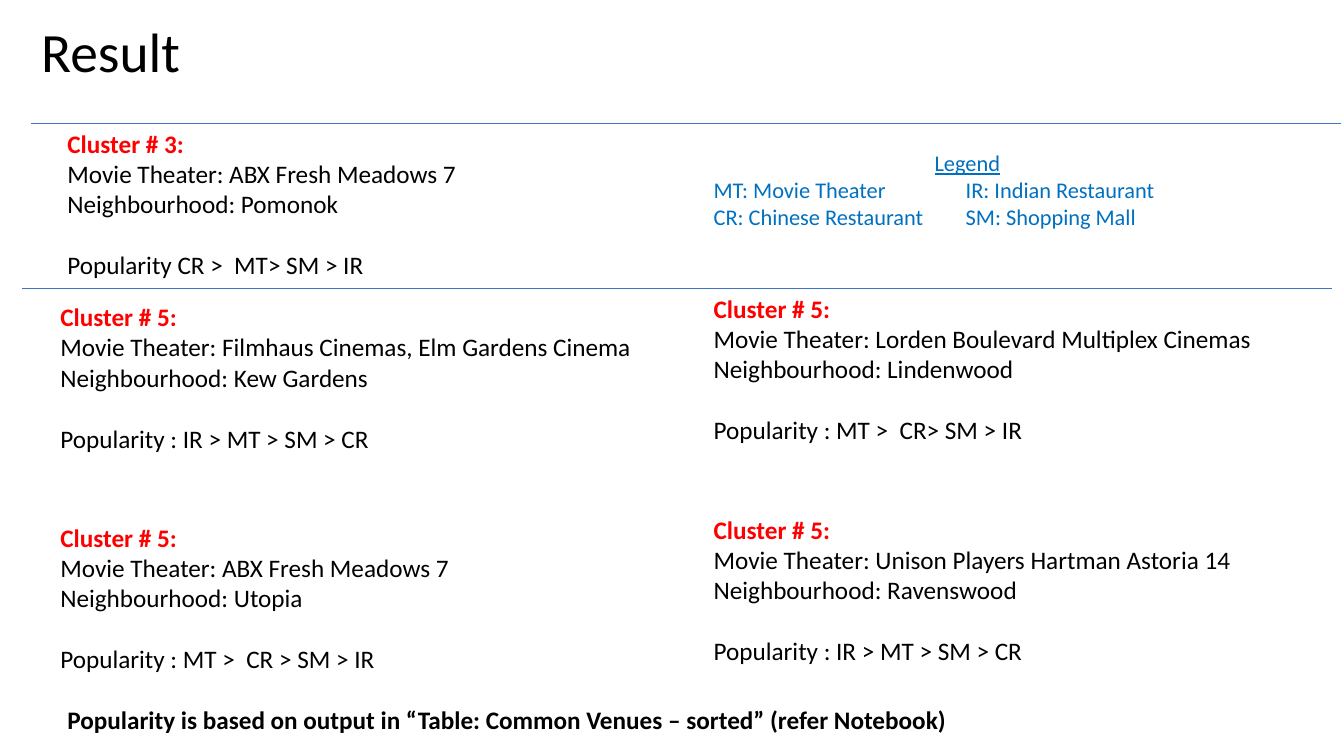
from lxml import etree
from pptx import Presentation
from pptx.dml.color import RGBColor
from pptx.enum.shapes import MSO_CONNECTOR
from pptx.enum.text import MSO_ANCHOR, PP_ALIGN
from pptx.oxml.ns import qn
from pptx.util import Inches, Pt

STRAIGHT = MSO_CONNECTOR.STRAIGHT
TOP, MIDDLE = MSO_ANCHOR.TOP, MSO_ANCHOR.MIDDLE
LEFT, CENTER = PP_ALIGN.LEFT, PP_ALIGN.CENTER
BLACK, RED, BLUE, RULE = "000000", "FF0000", "0070C0", "4472C4"
BODY_SIZE, LEGEND_SIZE, TITLE_SIZE = 18, 16, 39.6
EMPTY_LINE = 22
CARD_HEIGHT = 21.6
LEFT_COLUMN, RIGHT_COLUMN = 3.75, 52.36
LEFT_ROW, RIGHT_ROW, ROW_STEP = 39.2, 38.13, 29.2


def colour(hex_value):
    return RGBColor.from_string(hex_value)


class ResultPage:
    """Draws on one slide, with lengths in percent of its width and height."""

    font = "Calibri"

    def __init__(self, deck):
        self.width, self.height = deck.slide_width, deck.slide_height
        self.page = deck.slides.add_slide(deck.slide_layouts[6])

    def place(self, left, top, width, height):
        return (round(left * self.width / 100), round(top * self.height / 100),
                round(width * self.width / 100), round(height * self.height / 100))

    def frame(self, area, anchor=TOP):
        box = self.page.shapes.add_textbox(*self.place(*area))
        box.text_frame.word_wrap = True
        box.text_frame.vertical_anchor = anchor
        return box.text_frame

    def line(self, frame, text, size=BODY_SIZE, ink=BLACK, bold=False,
             underline=False, align=LEFT, before=0):
        first = frame.paragraphs[0]
        para = frame.add_paragraph() if first.runs else first
        para.add_run().text = text
        para.alignment = align
        para.space_before = Pt(before)
        font = para.font
        font.name, font.size, font.bold = self.font, Pt(size), bold
        font.underline = underline
        font.color.rgb = colour(ink)
        return para

    def title(self, text, area):
        self.line(self.frame(area, MIDDLE), text, TITLE_SIZE).line_spacing = 0.9

    def card(self, left, top, width, number, theater, neighbourhood, popularity):
        frame = self.frame((left, top, width, CARD_HEIGHT))
        self.line(frame, f"Cluster # {number}:", ink=RED, bold=True)
        self.line(frame, f"Movie Theater: {theater}")
        self.line(frame, f"Neighbourhood: {neighbourhood}")
        self.line(frame, f"Popularity {popularity}", before=EMPTY_LINE)

    def legend(self, heading, entries, area):
        frame = self.frame(area)
        self.line(frame, heading, LEGEND_SIZE, BLUE, underline=True, align=CENTER)
        for entry in entries:
            self.line(frame, entry, LEGEND_SIZE, BLUE)

    def note(self, text, area):
        self.line(self.frame(area), text, bold=True)

    def rule(self, left, top, width):
        x, y, length, _ = self.place(left, top, width, 0)
        rule = self.page.shapes.add_connector(STRAIGHT, x, y, x + length, y)
        rule.line.color.rgb = colour(RULE)
        rule.line.width = Pt(0.5)
        etree.SubElement(rule._element.spPr, qn("a:effectLst"))


def main():
    deck = Presentation()
    deck.slide_width, deck.slide_height = Inches(13.33), Inches(7.5)
    result = ResultPage(deck)

    result.title("Result", (2.33, 2.8, 86.27, 8.8))
    result.card(4.28, 16.27, 31.66, 3, "ABX Fresh Meadows 7", "Pomonok",
                "CR >  MT> SM > IR")

    columns = [
        (LEFT_COLUMN, LEFT_ROW, [
            ("Filmhaus Cinemas, Elm Gardens Cinema", "Kew Gardens",
             ": IR > MT > SM > CR"),
            ("ABX Fresh Meadows 7", "Utopia", ": MT >  CR > SM > IR")]),
        (RIGHT_COLUMN, RIGHT_ROW, [
            ("Lorden Boulevard Multiplex Cinemas", "Lindenwood",
             ": MT >  CR> SM > IR"),
            ("Unison Players Hartman Astoria 14", "Ravenswood",
             ": IR > MT > SM > CR")]),
    ]
    for left, top, cards in columns:
        for row, details in enumerate(cards):
            result.card(left, top + row * ROW_STEP, 45.24, 5, *details)

    result.legend("Legend", ["MT: Movie Theater \t\tIR: Indian Restaurant",
                             "CR: Chinese Restaurant\tSM: Shopping Mall"],
                  (RIGHT_COLUMN, 19.07, 39.23, 12.53))
    result.note("Popularity is based on output in “Table: Common Venues – sorted” "
                "(refer Notebook)", (4.28, 92.53, 79.59, 5.33))
    for left, top in [(1.65, 38.13), (2.33, 16.27)]:
        result.rule(left, top, 97.45)

    deck.save("out.pptx")


if __name__ == "__main__":
    main()
